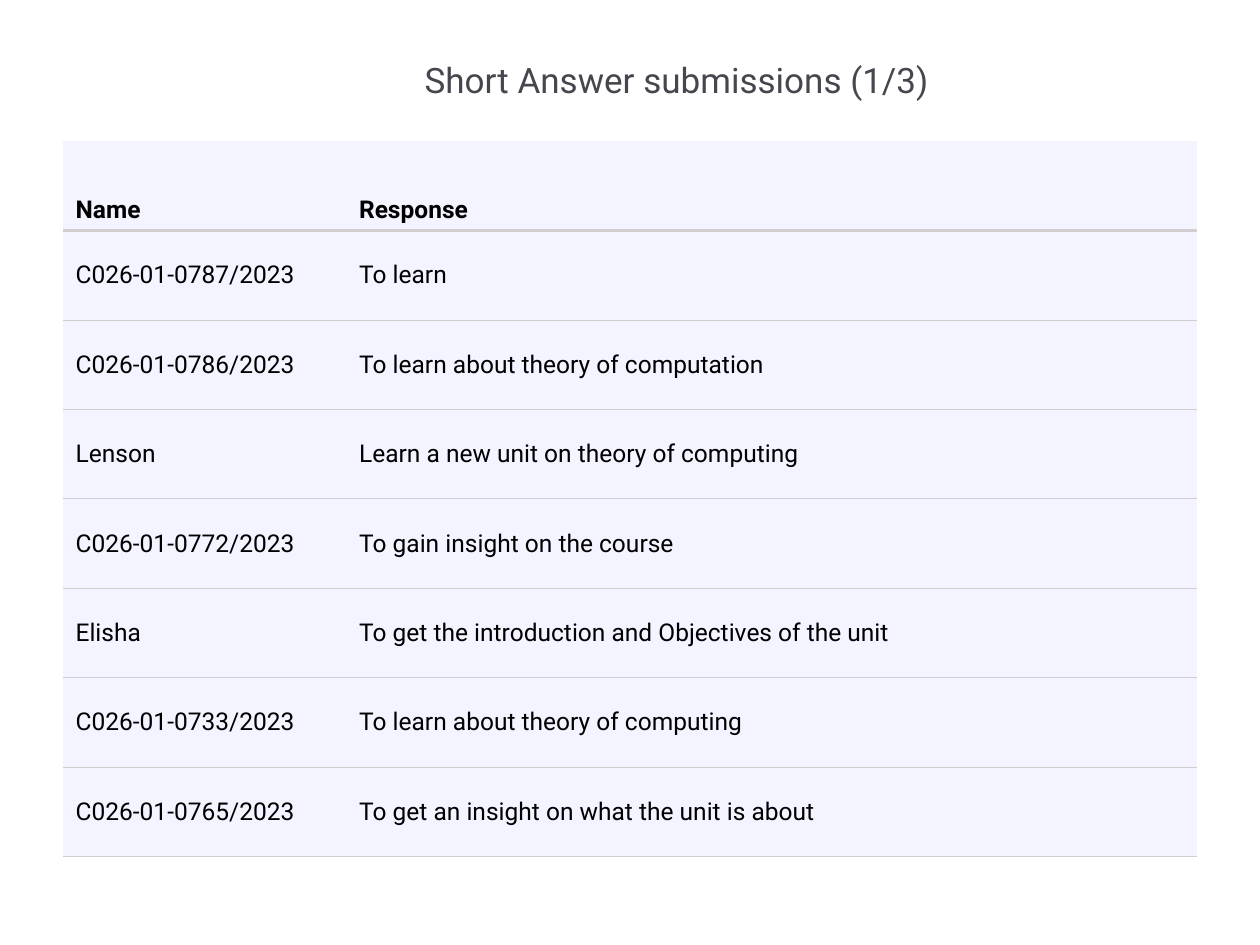
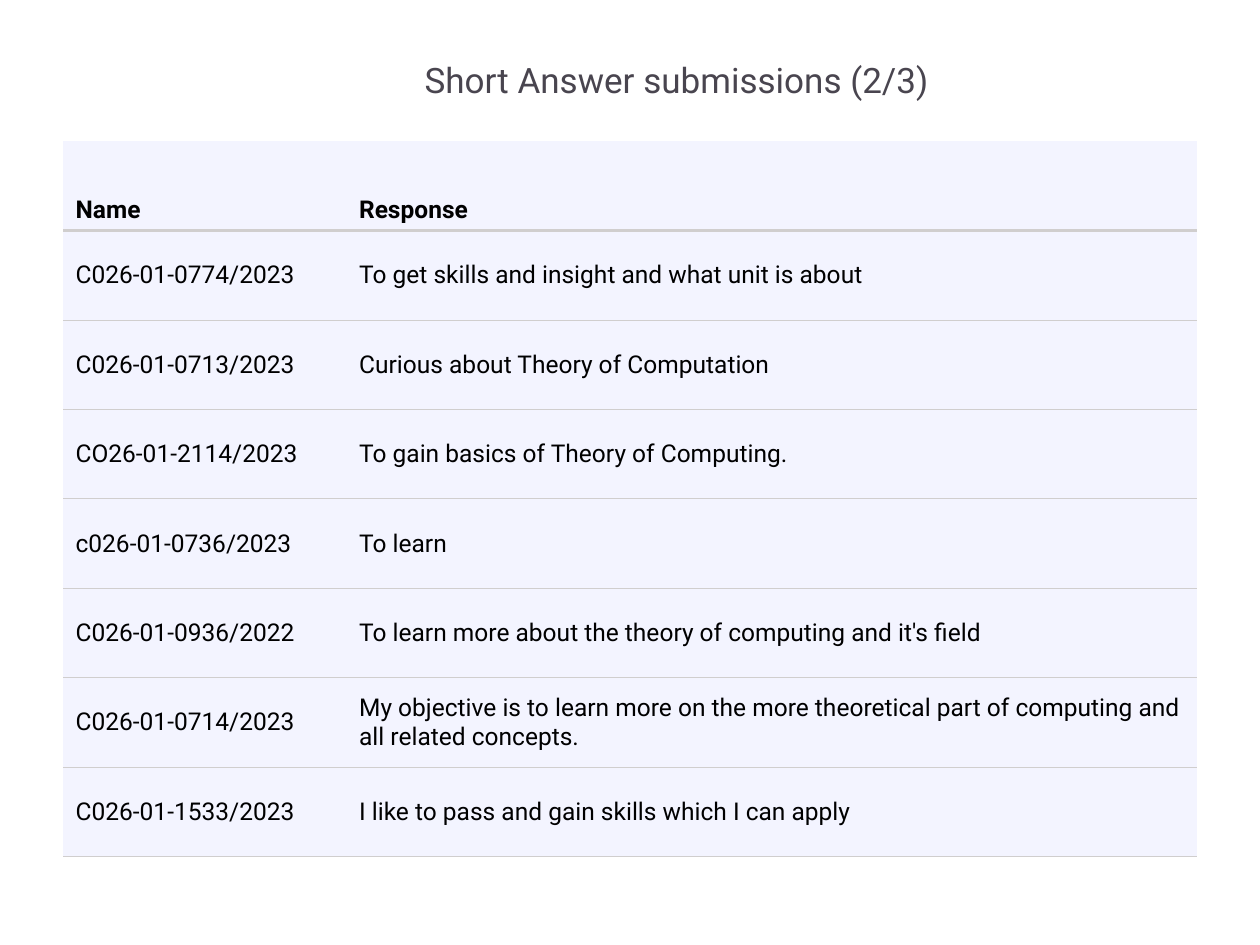
from lxml import etree
from pptx import Presentation
from pptx import util as u
from pptx.dml.color import RGBColor
from pptx.enum import shapes, text
from pptx.oxml.ns import qn

HEAD = ("Name", "Response")
PAGES = [
    ("Short Answer submissions (1/3)", [
        ("C026-01-0787/2023", "To learn"),
        ("C026-01-0786/2023", "To learn about theory of computation"),
        ("Lenson", "Learn a new unit on theory of computing"),
        ("C026-01-0772/2023", "To gain insight on the course"),
        ("Elisha", "To get the introduction and Objectives of the unit"),
        ("C026-01-0733/2023", "To learn about theory of computing"),
        ("C026-01-0765/2023", "To get an insight on what the unit is about"),
    ]),
    ("Short Answer submissions (2/3)", [
        ("C026-01-0774/2023", "To get skills and insight and what unit is about"),
        ("C026-01-0713/2023", "Curious about Theory of Computation"),
        ("CO26-01-2114/2023", "To gain basics of Theory of Computing."),
        ("c026-01-0736/2023", "To learn"),
        ("C026-01-0936/2022", "To learn more about the theory of computing and it's field"),
        ("C026-01-0714/2023", "My objective is to learn more on the more theoretical part "
                              "of computing and all related concepts."),
        ("C026-01-1533/2023", "I like to pass and gain skills which I can apply"),
    ]),
]

WHITE = RGBColor(0xFF, 0xFF, 0xFF)
BLACK = RGBColor(0, 0, 0)
GREY = RGBColor(0x49, 0x45, 0x4F)
RULE = RGBColor(0xD0, 0xCE, 0xCE)
LILAC = RGBColor(0xF3, 0xF4, 0xFF)

WIDE, HIGH = u.Inches(10), u.Inches(7.5)
BAND = u.Inches(1.12)
EDGE = WIDE // 20
ROW = u.Inches(0.71)
SHARES = (0.25, 0.75)
THIN, THICK = u.Pt(0.5), u.Pt(2.25)
PLAIN = "{2D5ABB26-0587-4C30-8999-92F81FD0307C}"

TITLE = {"name": "Roboto", "size": u.Pt(20), "bold": False}
BODY = {"name": "Roboto", "size": u.Pt(14), "bold": False}
TOP = {**BODY, "bold": True}
SPOT = dict(zip(("left", "top", "width", "height"),
                map(u.Inches, (3.27, 0.41, 6.67, 0.44))))


def put(item, vals):
    for key, val in vals.items():
        setattr(item, key, val)


def style(par, vals, tint):
    put(par.font, vals)
    par.font.color.rgb = tint


def add_band(slide, layout):
    band = slide.shapes.add_shape(shapes.MSO_SHAPE.RECTANGLE, 0, 0, WIDE, BAND)
    band.shadow.inherit = False
    band.fill.solid()
    band.fill.fore_color.rgb = WHITE
    band.line.fill.background()
    layout.shapes._spTree.append(band._element)


def add_title(slide, words):
    title = slide.shapes.title
    put(title, SPOT)
    frame = title.text_frame
    frame.text = words
    put(frame, {"word_wrap": True, "auto_size": text.MSO_AUTO_SIZE.NONE,
                "vertical_anchor": text.MSO_ANCHOR.MIDDLE})
    par = frame.paragraphs[0]
    par.alignment = text.PP_ALIGN.LEFT
    style(par, TITLE, GREY)


def add_rules(cell, lines):
    props = cell._tc.get_or_add_tcPr()
    for spot, (side, width) in enumerate(lines):
        line = etree.Element(qn("a:" + side), w=str(width))
        fill = etree.SubElement(line, qn("a:solidFill"))
        etree.SubElement(fill, qn("a:srgbClr"), val=str(RULE))
        props.insert(spot, line)


def fill_cell(cell, words, row):
    cell.text = words
    cell.fill.solid()
    cell.fill.fore_color.rgb = LILAC
    head = row == 0
    cell.vertical_anchor = text.MSO_ANCHOR.BOTTOM if head else text.MSO_ANCHOR.MIDDLE
    style(cell.text_frame.paragraphs[0], TOP if head else BODY, BLACK)
    if head:
        add_rules(cell, [("lnB", THICK)])
    else:
        add_rules(cell, [("lnT", THICK if row == 1 else THIN), ("lnB", THIN)])


def add_answers(slide, rows):
    wide = WIDE - 2 * EDGE
    table = slide.shapes.add_table(len(rows), len(HEAD), EDGE, BAND,
                                   wide, ROW * len(rows)).table
    put(table, {"first_row": False, "horz_banding": False})
    table._tbl.tblPr.find(qn("a:tableStyleId")).text = PLAIN
    for col, share in zip(table.columns, SHARES):
        col.width = int(wide * share)
    for r, row in enumerate(rows):
        table.rows[r].height = ROW
        for c, words in enumerate(row):
            fill_cell(table.cell(r, c), words, r)


def main():
    prs = Presentation()
    put(prs, {"slide_width": WIDE, "slide_height": HIGH})
    layout = prs.slide_layouts[5]
    for page, (name, rows) in enumerate(PAGES):
        slide = prs.slides.add_slide(layout)
        if page == 0:
            add_band(slide, layout)
        add_title(slide, name)
        add_answers(slide, [HEAD, *rows])
    prs.save("out.pptx")


if __name__ == "__main__":
    main()
